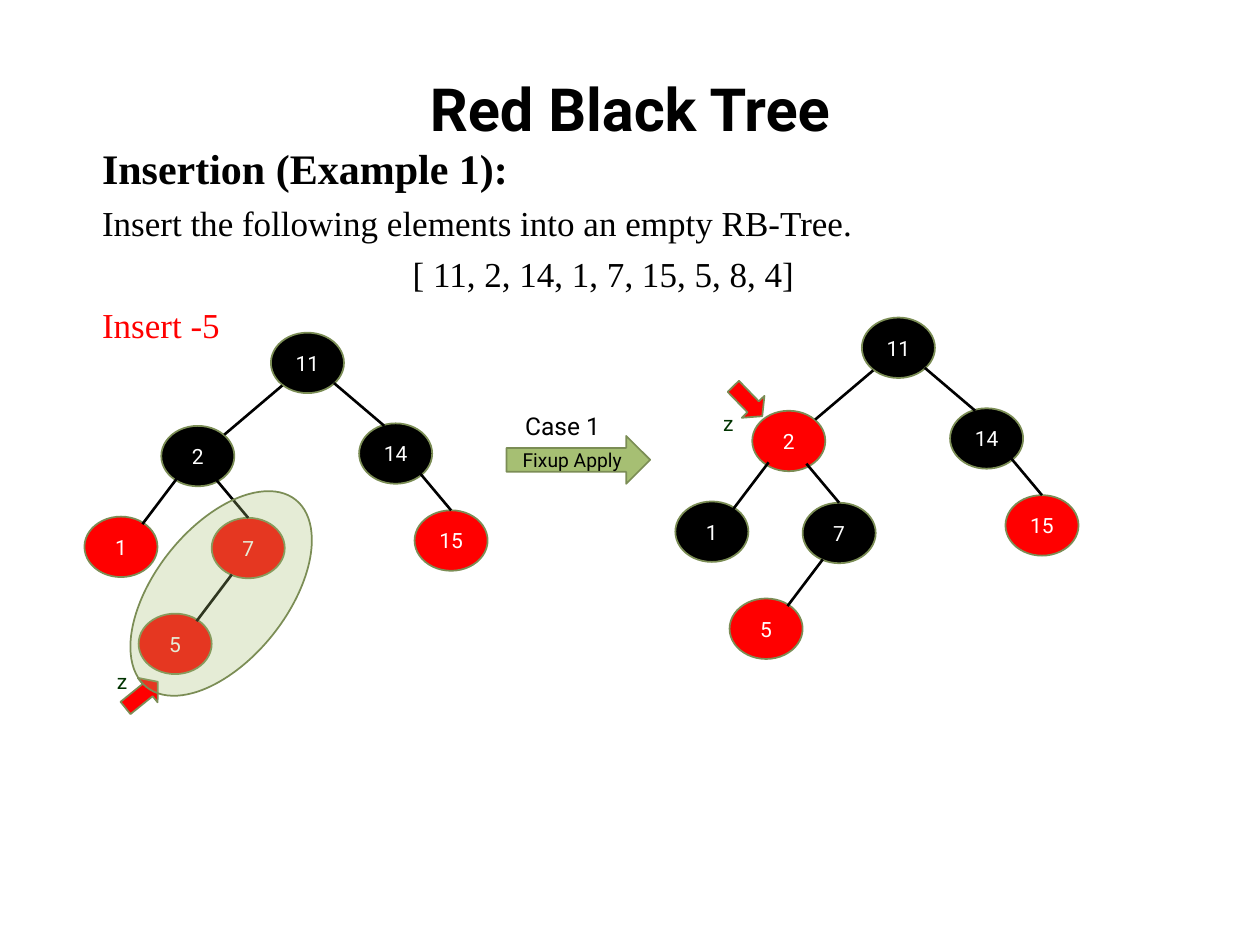
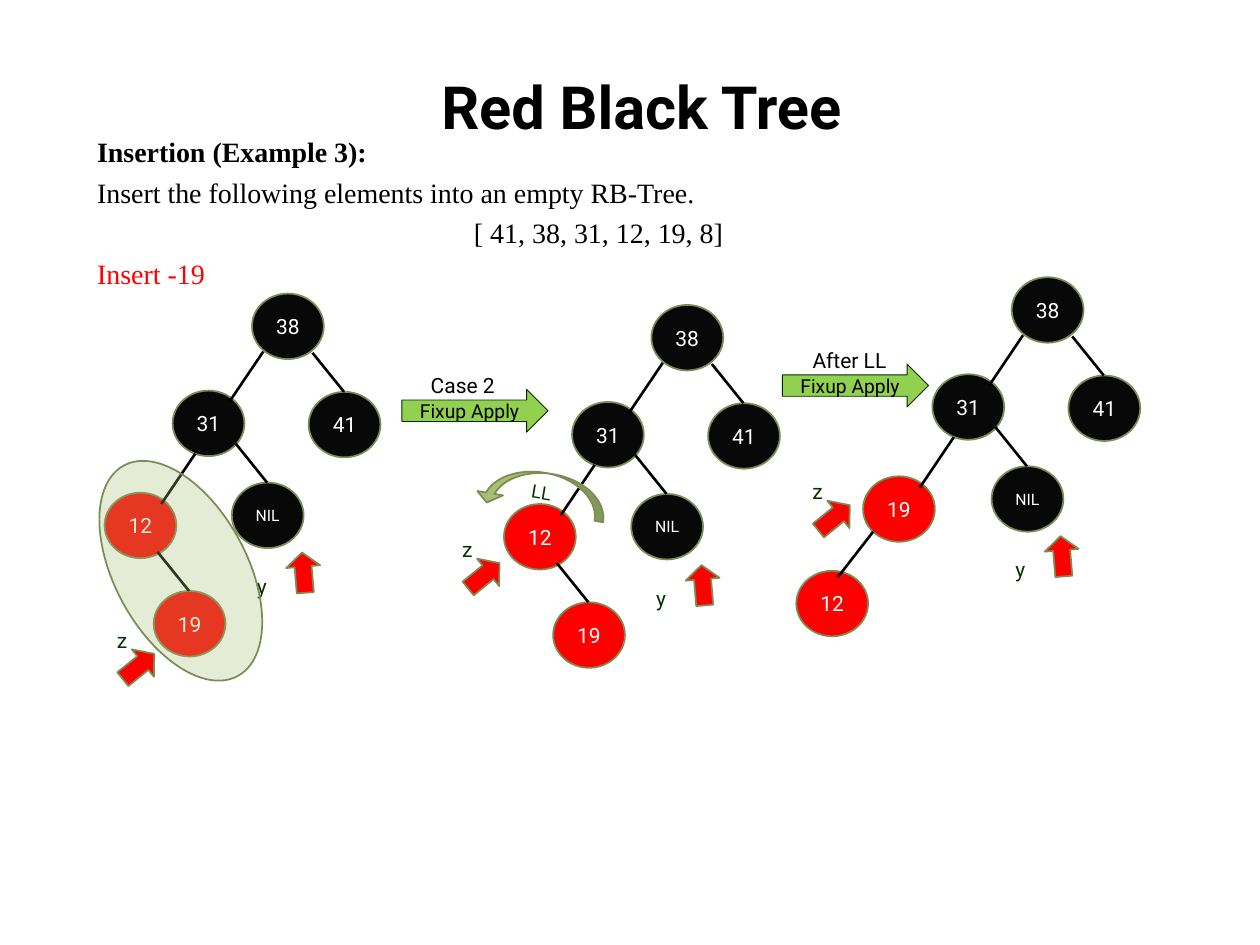
from lxml import etree
from pptx import Presentation
from pptx.dml.color import RGBColor
from pptx.enum.shapes import MSO_CONNECTOR, MSO_SHAPE
from pptx.enum.text import MSO_ANCHOR, MSO_AUTO_SIZE, PP_ALIGN
from pptx.oxml.ns import qn
from pptx.util import Pt

PX = 9144  # 100 px to the inch
LEFT, CENTER = PP_ALIGN.LEFT, PP_ALIGN.CENTER
MIDDLE = MSO_ANCHOR.MIDDLE
STRAIGHT = MSO_CONNECTOR.STRAIGHT
OVAL, ARROW = MSO_SHAPE.OVAL, MSO_SHAPE.RIGHT_ARROW
CURVED_ARROW = MSO_SHAPE.CURVED_DOWN_ARROW

BLACK = RGBColor(0x00, 0x00, 0x00)
INK = RGBColor(0x08, 0x08, 0x08)
WHITE = RGBColor(0xFF, 0xFF, 0xFF)
RED = RGBColor(0xFF, 0x00, 0x00)
OLIVE = RGBColor(0x7B, 0x8D, 0x55)
SAGE = RGBColor(0xA6, 0xBF, 0x73)
LIME = RGBColor(0x92, 0xD0, 0x50)
PINE = RGBColor(0x00, 0x33, 0x00)
DARK_PINE = RGBColor(0x00, 0x2A, 0x00)
SANS, SERIF = "Roboto", "Times New Roman"

# Edge kind: (end point within the child node, run from parent to child)
WIDE_LEFT, WIDE_RIGHT = ((50, 7), (-46, 39)), ((20, 2), (40, 34))
LOW_LEFT, LOW_RIGHT = ((46, 6), (-28, 37)), ((29, 0), (26, 31))
STEEP_LEFT, STEEP_RIGHT = ((45, 9), (-27, 40)), ((28, 0), (25, 31))

# Node: label, fill, offset from the root, edge to the parent
six_places = [
    ("11", 0, 0, None), ("2", -87, 74, WIDE_LEFT), ("14", 70, 72, WIDE_RIGHT),
    ("1", -148, 146, LOW_LEFT), ("7", -47, 147, LOW_RIGHT),
    ("15", 114, 141, LOW_RIGHT), ("5", -105, 223, LOW_LEFT),
]
before_recolour = [BLACK, BLACK, BLACK, RED, RED, RED, RED]
after_recolour = [BLACK, BLACK, RED, BLACK, BLACK, RED, RED]
after_recolour = [BLACK, RED, BLACK, BLACK, BLACK, RED, RED]
first_trees = [
    [(label, fill, dx, dy, edge)
     for (label, dx, dy, edge), fill in zip(six_places, fills)]
    for fills in (before_recolour, after_recolour)
]
upper_nodes = [
    ("38", INK, 0, 0, None), ("31", INK, -63, 77, STEEP_LEFT),
    ("41", INK, 45, 78, STEEP_RIGHT), ("NIL", INK, -16, 150, STEEP_RIGHT),
]
unrotated = upper_nodes + [
    ("12", RED, -117, 158, STEEP_LEFT), ("19", RED, -78, 236, STEEP_RIGHT)]
rotated = upper_nodes + [
    ("19", RED, -118, 158, STEEP_LEFT),
    ("12", RED, -171, 233, ((33, 5), (-28, 36)))]

# Pointer: letter, arrow box, rotation, label offset from the arrow
z_pointers = [
    ("z", (left, top, 32, 28), 321, (-11, -22))
    for left, top in ((94, 515), (368, 443), (646, 397))
]
y_pointers = [
    ("y", (left, top, 32, 27), 265.3, (-31, 9))
    for left, top in ((225, 441), (542, 451), (827, 428))
]

pages = [
    {
        "title": (50, 46), "body": (71, 108, 816, 174),
        "heading_size": 24, "size": 20, "gap": 5,
        "lines": ["Insertion (Example 1):", "[ 11, 2, 14, 1, 7, 15, 5, 8, 4]", "Insert -5"],
        "node": (58, 48),
        # Tree: root, nodes, pointers, highlight box and rotation
        "trees": [
            ((215, 264), first_trees[0],
             [("z", (96, 539, 33, 25), 321, (-13, -13))], ((123, 376, 105, 190), 38.5)),
            ((684, 252), first_trees[1],
             [("z", (577, 306, 33, 25), 45.9, (-13, 15))], None),
        ],
        "step_format": {"fill": SAGE}, "caption_size": 14,
        "steps": [("Case 1", (402, 346, 114, 38), (407, 321, 86, 34))],
    },
    {
        "title": (59, 44), "body": (67, 102, 816, 131),
        "heading_size": 16, "size": 16, "gap": 4,
        "lines": ["Insertion (Example 3):", "[ 41, 38, 31, 12, 19, 8]", "Insert -19"],
        "node": (57, 52),
        "trees": [
            ((200, 233), unrotated, [z_pointers[0], y_pointers[0]],
             ((91, 358, 105, 190), 331.6)),
            ((517, 242), unrotated, [z_pointers[1], y_pointers[1]], None),
            ((803, 220), rotated, [z_pointers[2], y_pointers[2]], None),
        ],
        "step_format": {"fill": LIME, "line": DARK_PINE, "line_width": 0.5},
        "caption_size": 12,
        "steps": [
            ("Case 2", (319, 309, 116, 34), (332, 291, 79, 30)),
            ("After LL", (621, 289, 116, 34), (635, 271, 79, 30)),
        ],
    },
]


def write(para, text, size=12, color=BLACK, font=SANS, bold=False, align=LEFT):
    span = para.add_run()
    span.text = text
    span.font.size = Pt(size)
    span.font.name = font
    span.font.bold = bold
    span.font.color.rgb = color
    para.alignment = align


def draw(page, kind, at, fill, line=OLIVE, line_width=1, rotation=0, text="", **text_format):
    """Add a preset shape, with centred text if there is any."""
    shape = page.shapes.add_shape(kind, *(length * PX for length in at))
    shape.shadow.inherit = False
    shape.fill.solid()
    shape.fill.fore_color.rgb = fill
    shape.line.color.rgb = line
    shape.line.width = Pt(line_width)
    shape.rotation = rotation
    if text:
        frame = shape.text_frame
        frame.word_wrap = False
        frame.vertical_anchor = MIDDLE
        frame.margin_top = frame.margin_bottom = 0
        write(frame.paragraphs[0], text, align=CENTER, **text_format)
    return shape


deck = Presentation()
deck.slide_width, deck.slide_height = 1000 * PX, 750 * PX

for content in pages:
    page = deck.slides.add_slide(deck.slide_layouts[1])
    title, body = page.placeholders
    title.left, title.top = (length * PX for length in content["title"])
    title.width, title.height = 900 * PX, 79 * PX
    title.text_frame.vertical_anchor = MIDDLE
    write(title.text_frame.paragraphs[0], "Red Black Tree", size=34, bold=True, align=CENTER)

    body.left, body.top, body.width, body.height = (length * PX for length in content["body"])
    body.text_frame.auto_size = MSO_AUTO_SIZE.NONE
    heading, elements, task = content["lines"]
    size = content["size"]
    body_lines = [
        (heading, {"size": content["heading_size"], "bold": True}),
        ("Insert the following elements into an empty RB-Tree.", {"size": size}),
        (elements, {"size": size, "align": CENTER}),
        (task, {"size": size, "color": RED}),
    ]
    for index, (text, text_format) in enumerate(body_lines):
        para = body.text_frame.add_paragraph() if index else body.text_frame.paragraphs[0]
        properties = para._p.get_or_add_pPr()
        properties.set("marL", "0")
        properties.set("indent", "0")
        etree.SubElement(properties, qn("a:buNone"))
        para.space_before = Pt(content["gap"] if index else 0)
        write(para, text, font=SERIF, **text_format)

    for (root_x, root_y), nodes, pointers, highlight in content["trees"]:
        for label, fill, dx, dy, edge in nodes:
            x, y = root_x + dx, root_y + dy
            draw(page, OVAL, (x, y, *content["node"]), fill, text=label,
                 size=9 if label == "NIL" else 12, color=WHITE)
            if edge:
                (end_x, end_y), (run_x, run_y) = edge
                end_x, end_y = x + end_x, y + end_y
                branch = page.shapes.add_connector(
                    STRAIGHT, (end_x - run_x) * PX, (end_y - run_y) * PX,
                    end_x * PX, end_y * PX)
                branch.line.color.rgb = BLACK
                branch.line.width = Pt(1.5)
                etree.SubElement(branch._element.spPr, qn("a:effectLst"))

        for letter, at, rotation, (dx, dy) in pointers:
            pointer = draw(page, ARROW, at, RED, rotation=rotation)
            pointer.adjustments[1] = 0.415
            box = page.shapes.add_textbox(
                (at[0] + dx) * PX, (at[1] + dy) * PX, 27 * PX, 30 * PX)
            write(box.text_frame.paragraphs[0], letter, color=PINE)

        if highlight:
            at, rotation = highlight
            halo = draw(page, OVAL, at, SAGE, rotation=rotation)
            color = halo._element.spPr.find(qn("a:solidFill"))[0]
            etree.SubElement(color, qn("a:alpha"), val="29000")

    for caption, arrow_at, caption_at in content["steps"]:
        draw(page, ARROW, arrow_at, text="Fixup Apply", size=11, **content["step_format"])
        box = page.shapes.add_textbox(*(length * PX for length in caption_at))
        write(box.text_frame.paragraphs[0], caption, size=content["caption_size"])

# The left rotation on the last page
turn = draw(page, CURVED_ARROW, (378, 375, 104, 31), SAGE, rotation=9.6,
            text="LL", size=10.5, color=PINE)
turn._element.spPr.get_or_add_xfrm().set("flipH", "1")
for index, value in enumerate((0.221, 0.669, 0.25)):
    turn.adjustments[index] = value

deck.save("out.pptx")
